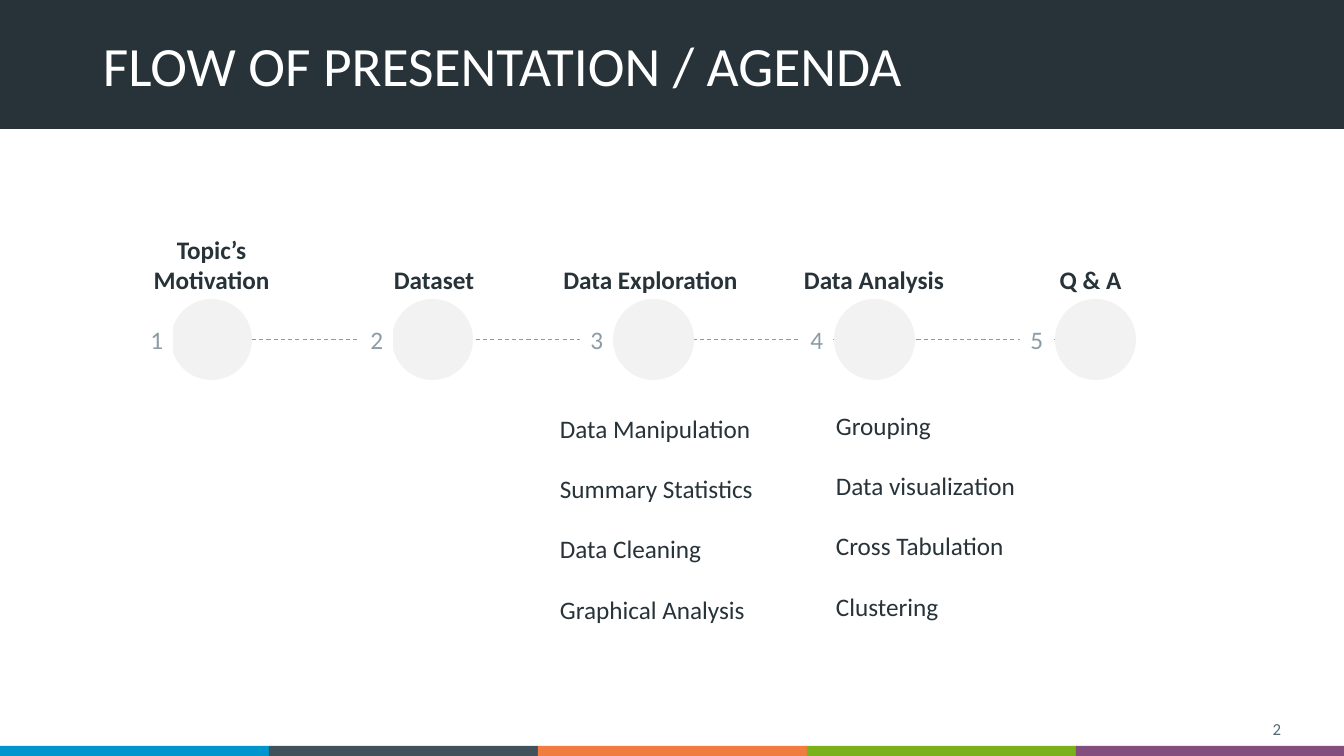
from pptx import Presentation
from pptx.dml.color import RGBColor
from pptx.enum.dml import MSO_LINE_DASH_STYLE as Dash
from pptx.enum.shapes import MSO_AUTO_SHAPE_TYPE as Shape, MSO_CONNECTOR_TYPE as Connector
from pptx.enum.text import MSO_VERTICAL_ANCHOR as Anchor, PP_PARAGRAPH_ALIGNMENT as Align
from pptx.oxml.ns import qn
from pptx.util import Pt
from lxml.etree import SubElement

EMU_PER_PX = 914400 / 100.8
WHITE, INK, PALE, MUTED = "FFFFFF", "273339", "F2F2F2", "8C9CA6"
STRIPES = ["0095CD", "40515A", "F17C3F", "7BB21B", "814E7E"]
HEADINGS = [
    ("Topic’s Motivation", 111, 259, 201),
    ("Dataset", 344, 259, 180),
    ("Data Exploration", 543, 229, 215),
    ("Data Analysis", 792, 259, 164),
    ("Q & A", 1021, 259, 139),
]
EXPLORATION = ["Data Manipulation", "Summary Statistics", "Data Cleaning", "Graphical Analysis"]
ANALYSIS = ["Grouping", "Data visualization", "Cross Tabulation", "Clustering"]


def px(length):
    return round(length * EMU_PER_PX)


def color(value):
    return RGBColor.from_string(value)


class AgendaPage:
    """Draws styled elements on one slide, measured in px."""

    font = "Calibri"

    def __init__(self, deck):
        self.page = deck.slides.add_slide(deck.slide_layouts[6])

    def shape(self, kind, left, top, width, height, fill):
        shape = self.page.shapes.add_shape(kind, px(left), px(top), px(width), px(height))
        shape.shadow.inherit = False
        shape.fill.solid()
        shape.fill.fore_color.rgb = color(fill)
        shape.line.fill.background()
        return shape

    def set_lines(self, box, lines, size, ink, align=Align.LEFT, anchor=Anchor.TOP, bold=False, gap=0):
        frame = box.text_frame
        frame.word_wrap = True
        frame.vertical_anchor = anchor
        for index, line in enumerate(lines):
            para = frame.add_paragraph() if index else frame.paragraphs[0]
            para.alignment = align
            if index:
                para.space_before = Pt(gap)
            span = para.add_run()
            span.text = line
            span.font.name = self.font
            span.font.size = Pt(size)
            span.font.bold = bold
            span.font.color.rgb = color(ink)

    def text(self, left, top, width, height, line, size, ink, **style):
        box = self.page.shapes.add_textbox(px(left), px(top), px(width), px(height))
        self.set_lines(box, [line], size, ink, **style)

    def panel(self, left, top, width, height, lines, ink, **style):
        box = self.shape(Shape.RECTANGLE, left, top, width, height, WHITE)
        self.set_lines(box, lines, 18, ink, **style)

    def dashed_line(self, left, right, y, ink):
        line = self.page.shapes.add_connector(Connector.STRAIGHT, px(left), px(y), px(right), px(y))
        line.line.color.rgb = color(ink)
        line.line.width = Pt(0.75)
        line.line.dash_style = Dash.DASH
        SubElement(line._element.spPr, qn("a:effectLst"))


def main():
    deck = Presentation()
    deck.slide_width, deck.slide_height = px(1344), px(756)
    agenda = AgendaPage(deck)

    agenda.shape(Shape.RECTANGLE, 0, -1, 1344, 130, INK)
    for index, stripe in enumerate(STRIPES):
        left = 269 * index
        agenda.shape(Shape.RECTANGLE, left, 746, min(269, 1344 - left), 10, stripe)
    agenda.text(93, 27, 1159, 75, "FLOW OF PRESENTATION / AGENDA", 39.6, WHITE, anchor=Anchor.MIDDLE)
    agenda.text(989, 713, 302, 31, "2", 12, "576973", align=Align.RIGHT, anchor=Anchor.MIDDLE)

    agenda.dashed_line(252, 1055, 340, "839DAA")
    for index in range(len(HEADINGS)):
        agenda.shape(Shape.OVAL, 171 + 221 * index, 299, 81, 81, PALE)
    for heading, left, top, width in HEADINGS:
        agenda.text(left, top, width, 300 - top, heading, 18, INK,
                    align=Align.CENTER, anchor=Anchor.BOTTOM, bold=True)
    agenda.panel(550, 408, 231, 225, EXPLORATION, INK, gap=21.5)
    for index in range(len(HEADINGS)):
        agenda.panel(140 + 220 * index, 319, 33, 40, [str(index + 1)], MUTED, align=Align.RIGHT)
    agenda.panel(826, 405, 231, 231, ANALYSIS, INK, gap=21.5)

    deck.save("out.pptx")


if __name__ == "__main__":
    main()
